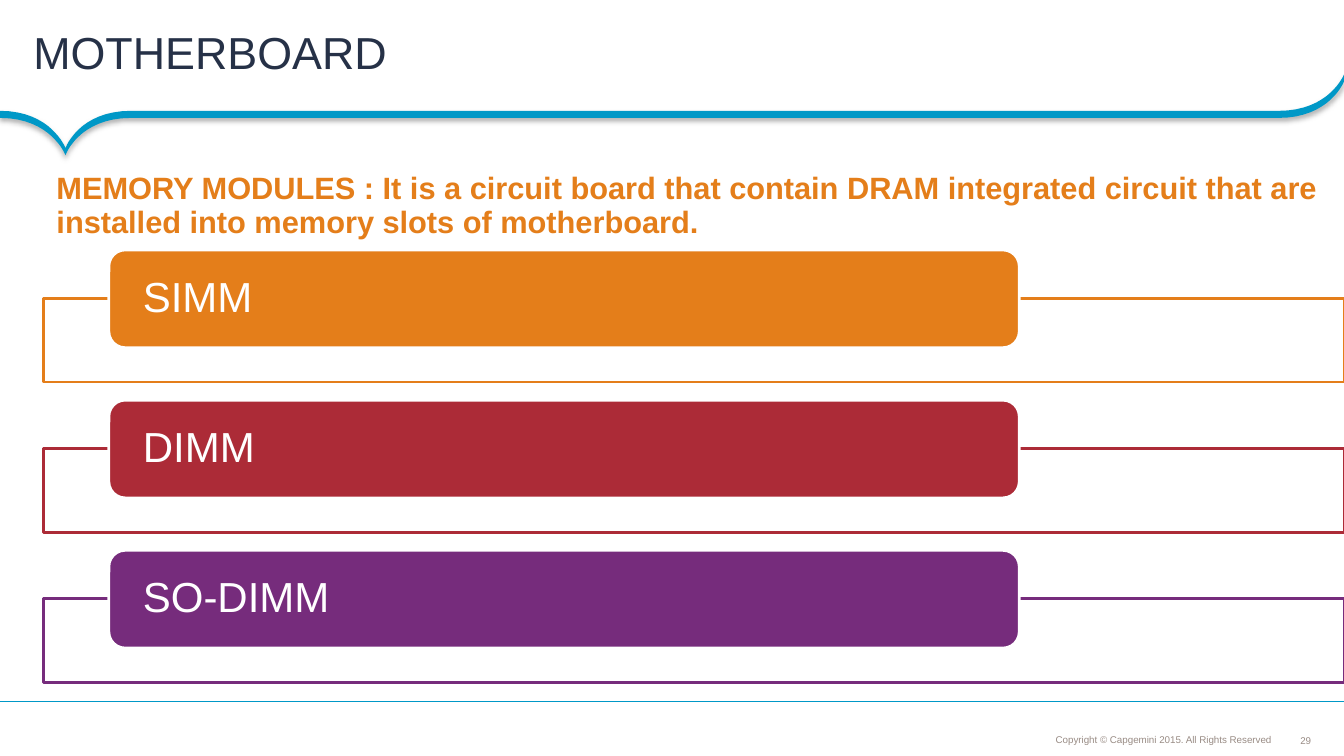
from dataclasses import dataclass

from lxml import etree
from pptx import Presentation
from pptx.dml import color
from pptx.enum import shapes, text
from pptx.oxml import ns
from pptx.util import Inches, Pt

COLORS = {
    "white": "FFFFFF", "navy": "263147", "blue": "0098C7", "gray": "998C85",
    "orange": "E47E1A", "red": "AC2B37", "purple": "762C7C", "black": "000000",
}
FONT = "Arial"
FIRST_BAR_TOP = 2.48
ROW_PITCH = 1.49
FRAME_DROP = 0.48
CURVE_STEPS = 16
UNITS_PER_INCH = 1000  # freeform points are rounded to whole units

Point = tuple[float, float]


@dataclass
class Module:
    name: str
    color: str


@dataclass
class TextStyle:
    size: float
    color: str
    align: text.PP_ALIGN = text.PP_ALIGN.LEFT
    anchor: text.MSO_ANCHOR = text.MSO_ANCHOR.MIDDLE
    spacing: float = 0.9
    bold: bool = False
    wrap: bool = True


MODULES = [Module("SIMM", "orange"), Module("DIMM", "red"), Module("SO-DIMM", "purple")]

# Each curve holds two control points and an end point; a single point is a straight edge.
RIBBON_START = (12.68, 1.1)
RIBBON = [
    [(1.3, 1.1)],
    [(0.78, 1.1), (0.65, 1.47), (0.65, 1.47)],
    [(0.65, 1.47), (0.51, 1.1), (0, 1.1)],
    [(0, 1.17)],
    [(0.51, 1.17), (0.65, 1.54), (0.65, 1.54)],
    [(0.65, 1.54), (0.78, 1.17), (1.3, 1.17)],
    [(12.68, 1.17)],
    [(13.19, 1.17), (13.33, 0.81), (13.33, 0.81)],
    [(13.33, 0.74)],
    [(13.33, 0.74), (13.19, 1.1), (12.68, 1.1)],
]


def rgb(name: str) -> color.RGBColor:
    return color.RGBColor.from_string(COLORS[name])


def place(shape, left: float, top: float, width: float, height: float) -> None:
    shape.left, shape.top = Inches(left), Inches(top)
    shape.width, shape.height = Inches(width), Inches(height)


def write(shape, words: str, style: TextStyle, insets: tuple[float, ...]) -> None:
    """Fill a shape with one paragraph; insets run left, top, right, bottom."""
    frame = shape.text_frame
    frame.text = words
    frame.auto_size = text.MSO_AUTO_SIZE.NONE
    frame.word_wrap = style.wrap
    frame.vertical_anchor = style.anchor
    frame.margin_left, frame.margin_top, frame.margin_right, frame.margin_bottom = map(Inches, insets)
    para = frame.paragraphs[0]
    para.alignment = style.align
    para.line_spacing = style.spacing
    para.space_before = Pt(0)
    font = para.runs[0].font
    font.name, font.size, font.bold = FONT, Pt(style.size), style.bold
    font.color.rgb = rgb(style.color)


def add_text(page, area: tuple[float, ...], words: str, style: TextStyle, insets: tuple[float, ...]) -> None:
    box = page.shapes.add_textbox(*map(Inches, area))
    write(box, words, style, insets)


def add_block(page, kind: shapes.MSO_SHAPE, area: tuple[float, ...], fill: str, line: str):
    block = page.shapes.add_shape(kind, *map(Inches, area))
    block.shadow.inherit = False
    block.fill.solid()
    block.fill.fore_color.rgb = rgb(fill)
    block.line.color.rgb = rgb(line)
    block.line.width = Pt(2)
    return block


def set_alpha(color_element, percent: int) -> None:
    etree.SubElement(color_element, ns.qn("a:alpha"), val=str(percent * 1000))


def curve_points(start: Point, first: Point, second: Point, end: Point) -> list[Point]:
    """Sample a cubic Bezier curve, leaving out its start."""
    points = []
    for step in range(1, CURVE_STEPS + 1):
        t = step / CURVE_STEPS
        weights = ((1 - t) ** 3, 3 * t * (1 - t) ** 2, 3 * t * t * (1 - t), t ** 3)
        corners = (start, first, second, end)
        points.append((sum(w * x for w, (x, _) in zip(weights, corners)),
                       sum(w * y for w, (_, y) in zip(weights, corners))))
    return points


def add_ribbon(page) -> None:
    points = [RIBBON_START]
    for segment in RIBBON:
        points += segment if len(segment) == 1 else curve_points(points[-1], *segment)
    start, *others = [(x * UNITS_PER_INCH, y * UNITS_PER_INCH) for x, y in points]
    builder = page.shapes.build_freeform(*start, scale=Inches(1) / UNITS_PER_INCH)
    builder.add_line_segments(others, close=True)
    ribbon = builder.convert_to_shape()
    ribbon.fill.solid()
    ribbon.fill.fore_color.rgb = rgb("blue")
    ribbon.line.fill.background()
    ribbon.shadow.inherit = False
    effects = ribbon.element.spPr.find(ns.qn("a:effectLst"))
    shadow = etree.SubElement(effects, ns.qn("a:outerShdw"), blurRad=str(Pt(4)), dist=str(Pt(2)),
                              dir="5400000", algn="t", rotWithShape="0")
    set_alpha(etree.SubElement(shadow, ns.qn("a:srgbClr"), val=COLORS["black"]), 31)


def add_footer(page) -> None:
    rule = page.shapes.add_connector(shapes.MSO_CONNECTOR.STRAIGHT,
                                     Inches(13.33), Inches(6.96), Inches(0), Inches(6.96))
    rule.line.color.rgb = rgb("blue")
    rule.line.width = Pt(0.75)
    etree.SubElement(rule.element.spPr, ns.qn("a:effectLst"))
    add_text(page, (9.07, 7.24, 3.58, 0.2), "Copyright © Capgemini 2015. All Rights Reserved",
             TextStyle(7, "gray", text.PP_ALIGN.RIGHT, text.MSO_ANCHOR.BOTTOM), (0.04,) * 4)
    add_text(page, (12.89, 7.29, 0.12, 0.12), "29",
             TextStyle(7, "gray", text.PP_ALIGN.CENTER, spacing=1, wrap=False), (0,) * 4)


def add_module(page, module: Module, bar_top: float) -> None:
    frame = add_block(page, shapes.MSO_SHAPE.RECTANGLE, (0.43, bar_top + FRAME_DROP, 12.9, 0.83),
                      "white", module.color)
    set_alpha(frame.element.spPr.find(ns.qn("a:solidFill"))[0], 90)
    bar = add_block(page, shapes.MSO_SHAPE.ROUNDED_RECTANGLE, (1.08, bar_top, 9.03, 0.97),
                    module.color, "white")
    write(bar, module.name, TextStyle(30, "white"), (0.29, 0, 0.29, 0))


def main() -> None:
    deck = Presentation()
    deck.slide_width, deck.slide_height = Inches(13.33), Inches(7.5)
    page = deck.slides.add_slide(deck.slide_layouts[5])

    add_ribbon(page)
    add_footer(page)
    title = page.shapes.title
    place(title, 0, 0, 13.33, 1.1)
    write(title, "MOTHERBOARD", TextStyle(32, "navy", spacing=0.85), (0.33, 0.04, 0.18, 0.04))
    for row, module in enumerate(MODULES):
        add_module(page, module, FIRST_BAR_TOP + row * ROW_PITCH)
    add_text(page, (0.44, 1.64, 12.92, 0.7),
             "MEMORY MODULES : It is a circuit board that contain DRAM integrated circuit "
             "that are installed into memory slots of motherboard.",
             TextStyle(22, "orange", anchor=text.MSO_ANCHOR.TOP, bold=True), (0.12, 0.08, 0.08, 0.08))
    deck.save("out.pptx")


if __name__ == "__main__":
    main()
